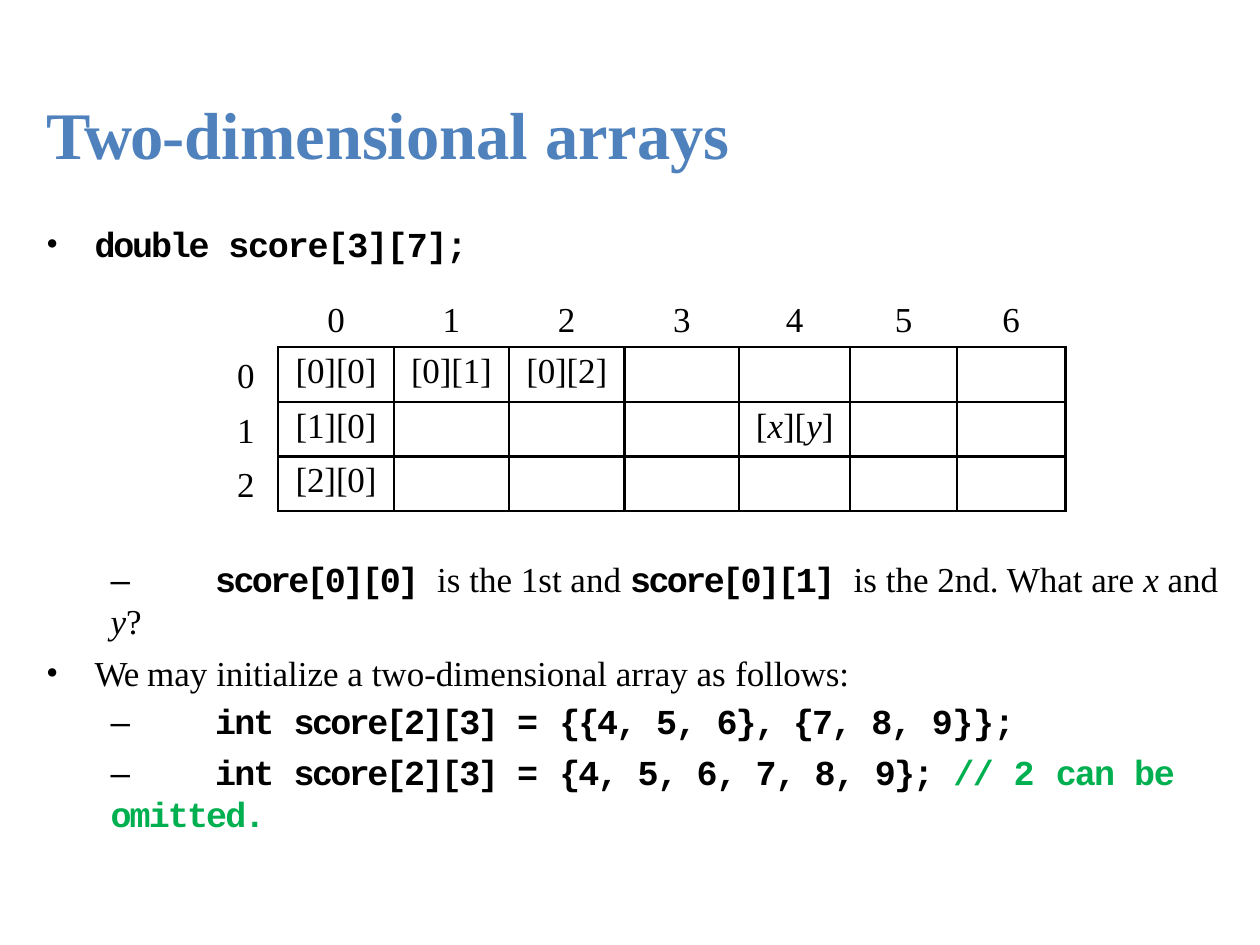
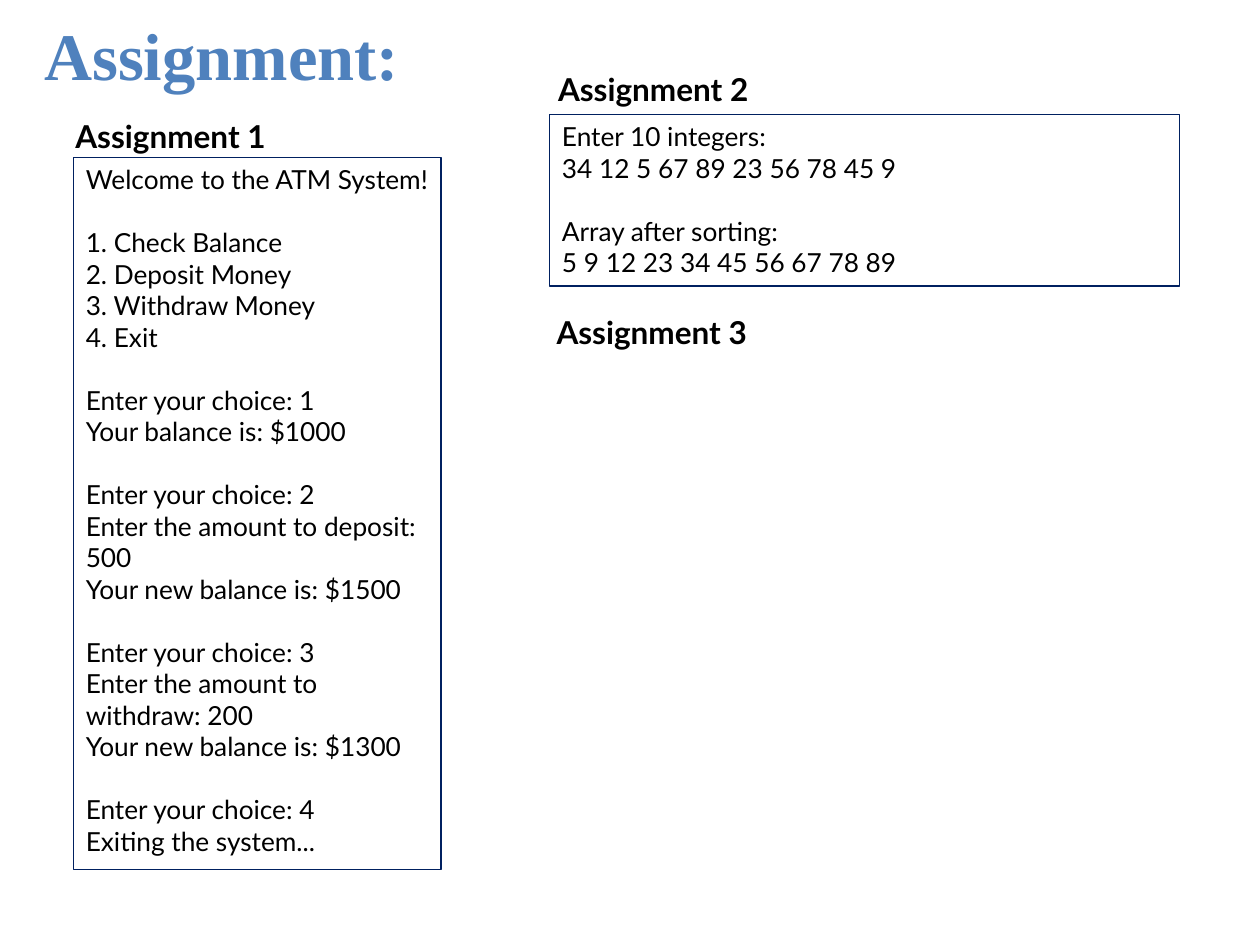
from pptx import Presentation
from pptx.dml.color import RGBColor
from pptx.enum.shapes import MSO_SHAPE
from pptx.enum.text import MSO_ANCHOR, PP_ALIGN
from pptx.oxml.xmlchemy import OxmlElement
from pptx.util import Cm, Pt

BLACK, TITLE_BLUE, FRAME_NAVY, COMMENT_GREEN = "000000", "4F81BD", "002060", "00B050"
SERIF, CODE, SANS, DASH_FONT = "Times New Roman", "Courier New", "Lato", "Arial"
TITLE_SIZE, BODY_SIZE, HEADING_SIZE, CONSOLE_SIZE = 38, 20, 18, 15
CONSOLE_GAP = 18

PLAIN = dict(font=SERIF)
ITALIC = dict(font=SERIF, italic=True)
BOLD_CODE = dict(font=CODE, bold=True)
COMMENT = dict(font=CODE, bold=True, color=COMMENT_GREEN)
DASH = ("–\t", dict(font=DASH_FONT), -0.5)

DECLARATION = [("double ", BOLD_CODE, -1.3), ("score[3][7];", BOLD_CODE, -0.7)]
# Each entry: bulleted or dashed, space before, runs
EXPLANATION = [
    (False, 0, [
        DASH, ("score[0][0] ", BOLD_CODE, -1.6), ("is the 1st and ", PLAIN, 0),
        ("score[0][1] ", BOLD_CODE, -1.5), ("is the 2nd. What are ", PLAIN, 0),
        ("x ", ITALIC, 0), ("and ", PLAIN, 0), ("y", ITALIC, -0.2), ("?", PLAIN, -0.2)]),
    (True, 6.1, [
        ("We ", PLAIN, -0.6), ("may initialize a two-dimensional array as ", PLAIN, 0),
        ("follows:", PLAIN, -0.1)]),
    (False, 3.1, [
        DASH, ("int ", BOLD_CODE, -1.1), ("score[2][3] ", BOLD_CODE, -1.5),
        ("= ", BOLD_CODE, 0), ("{{4, ", BOLD_CODE, -1.2), ("5, ", BOLD_CODE, -0.8),
        ("6}, {7, ", BOLD_CODE, -1.1), ("8, ", BOLD_CODE, -0.8), ("9}};", BOLD_CODE, -0.2)]),
    (False, 5.2, [
        DASH, ("int ", BOLD_CODE, -1.1), ("score[2][3] ", BOLD_CODE, -1.5),
        ("= ", BOLD_CODE, 0), ("{4, ", BOLD_CODE, -1.1), ("5, 6, 7, 8, ", BOLD_CODE, -0.8),
        ("9}; ", BOLD_CODE, -1.1), ("// ", COMMENT, -0.8), ("2 ", COMMENT, 0),
        ("can ", COMMENT, -1.1), ("be ", COMMENT, -0.8), ("omitted.", COMMENT, -1.1)]),
]

COLUMN_WIDTHS = [2.33, 2.32, 2.33, 2.31, 2.24, 2.15, 2.19]
ROW_COUNT, ROW_HEIGHT = 3, 1.1
THIN_EDGES = {4, 6}  # column boundaries drawn with a lighter line
ELEMENTS = {
    (0, 0): [("[0][0]", PLAIN)], (0, 1): [("[0][1]", PLAIN)], (0, 2): [("[0][2]", PLAIN)],
    (1, 0): [("[1][0]", PLAIN)], (2, 0): [("[2][0]", PLAIN)],
    (1, 4): [("[", PLAIN), ("x", ITALIC), ("][", PLAIN), ("y", ITALIC), ("]", PLAIN)],
}

# Console output as groups of lines, set apart by a gap
ATM_SESSION = [
    ["Welcome to the ATM System!"],
    ["1. Check Balance", "2. Deposit Money", "3. Withdraw Money", "4. Exit"],
    ["Enter your choice: 1", "Your balance is: $1000"],
    ["Enter your choice: 2", "Enter the amount to deposit: 500",
     "Your new balance is: $1500"],
    ["Enter your choice: 3", "Enter the amount to withdraw: 200",
     "Your new balance is: $1300"],
    ["Enter your choice: 4", "Exiting the system..."],
]
SORTING_SESSION = [
    ["Enter 10 integers:", "34 12 5 67 89 23 56 78 45 9"],
    ["Array after sorting:", "5 9 12 23 34 45 56 67 78 89"],
]


def rgb(hex_color):
    return RGBColor.from_string(hex_color)


def add_run(paragraph, text, size, font=SERIF, color=BLACK, bold=False, italic=False,
            tracking=0):
    run = paragraph.add_run()
    run.text = text
    run.font.name, run.font.size = font, Pt(size)
    run.font.bold, run.font.italic = bold, italic
    run.font.color.rgb = rgb(color)
    if tracking:
        run.font._element.set("spc", str(round(tracking * 100)))


def next_paragraph(frame, space_before=0):
    """Return the empty first paragraph, or a new one after the others."""
    first = frame.paragraphs[0]
    paragraph = frame.add_paragraph() if first.runs else first
    paragraph.space_before = Pt(space_before)
    paragraph.alignment = PP_ALIGN.LEFT
    return paragraph


def clear_margins(frame):
    frame.margin_left = frame.margin_right = frame.margin_top = frame.margin_bottom = 0


def add_text_frame(slide, box, margins=False):
    frame = slide.shapes.add_textbox(*map(Cm, box)).text_frame
    frame.word_wrap = True
    if not margins:
        clear_margins(frame)
    return frame


def append_element(parent, tag, **attributes):
    element = OxmlElement(tag)
    for name, value in attributes.items():
        element.set(name, str(value))
    parent.append(element)
    return element


def set_bullet(paragraph, left):
    properties = paragraph._p.get_or_add_pPr()
    properties.set("marL", str(Cm(left)))
    properties.set("indent", str(-Cm(left)))
    append_element(properties, "a:buFont", typeface=SERIF)
    append_element(properties, "a:buChar", char="•")


def set_dash_tab(paragraph, left, tab):
    """Indent the paragraph; an explicit first-line indent would reset its tab stop."""
    properties = paragraph._p.get_or_add_pPr()
    properties.set("marL", str(Cm(left)))
    append_element(append_element(properties, "a:tabLst"), "a:tab", pos=int(Cm(tab)), algn="l")


def add_point(frame, bulleted, space_before, runs):
    paragraph = next_paragraph(frame, space_before)
    if bulleted:
        set_bullet(paragraph, 0.98)
    else:
        set_dash_tab(paragraph, 1.3, 2.11)
    for text, style, tracking in runs:
        add_run(paragraph, text, BODY_SIZE, tracking=tracking, **style)


def add_titled_slide(deck, title, box):
    """Add a title-only slide; title is a list of (text, tracking)."""
    slide = deck.slides.add_slide(deck.slide_layouts[5])
    heading = slide.shapes.title
    heading.left, heading.top, heading.width, heading.height = map(Cm, box)
    frame = heading.text_frame
    frame.word_wrap = True
    frame.vertical_anchor = MSO_ANCHOR.TOP
    clear_margins(frame)
    paragraph = next_paragraph(frame)
    for text, tracking in title:
        add_run(paragraph, text, TITLE_SIZE, color=TITLE_BLUE, bold=True, tracking=tracking)
    return slide


def set_borders(cell, widths):
    """Draw the left, right, top and bottom border, in that order."""
    properties = cell._tc.get_or_add_tcPr()
    for index, (side, width) in enumerate(zip("LRTB", widths)):
        line = OxmlElement(f"a:ln{side}")
        line.set("w", str(int(Pt(width))))
        append_element(append_element(line, "a:solidFill"), "a:srgbClr", val=BLACK)
        properties.insert(index, line)


def add_array_grid(slide, left, top):
    """Draw the array as a table with its column and row indices outside."""
    width, height = sum(COLUMN_WIDTHS), ROW_HEIGHT * ROW_COUNT
    table = slide.shapes.add_table(ROW_COUNT, len(COLUMN_WIDTHS),
                                   *map(Cm, (left, top, width, height))).table
    table.first_row = table.horz_banding = False
    for row in table.rows:
        row.height = Cm(ROW_HEIGHT)

    for column, column_width in enumerate(COLUMN_WIDTHS):
        table.columns[column].width = Cm(column_width)
        index_left = left + sum(COLUMN_WIDTHS[:column])
        index = next_paragraph(add_text_frame(slide, (index_left, top - 1, column_width, 0.9)))
        index.alignment = PP_ALIGN.CENTER
        add_run(index, str(column), BODY_SIZE)
        side_widths = [1 if edge in THIN_EDGES else 1.5 for edge in (column, column + 1)]
        for row in range(ROW_COUNT):
            cell = table.cell(row, column)
            cell.fill.background()
            set_borders(cell, side_widths + [1.5, 1.5])
            if (row, column) in ELEMENTS:
                cell.margin_left = cell.margin_right = cell.margin_bottom = 0
                cell.margin_top = Cm(0.1)
                element = cell.text_frame.paragraphs[0]
                element.alignment = PP_ALIGN.CENTER
                for text, style in ELEMENTS[row, column]:
                    add_run(element, text, BODY_SIZE, tracking=-0.1, **style)

    row_indices = add_text_frame(slide, (left - 0.83, top + 0.13, 0.5, height))
    for row in range(ROW_COUNT):
        add_run(next_paragraph(row_indices, 7.2 if row else 0), str(row), BODY_SIZE)


def add_heading(slide, text, box):
    paragraph = next_paragraph(add_text_frame(slide, box, margins=True))
    add_run(paragraph, text, HEADING_SIZE, SANS, bold=True)


def add_console(slide, groups, box):
    console = slide.shapes.add_shape(MSO_SHAPE.RECTANGLE, *map(Cm, box))
    console.shadow.inherit = False
    console.fill.background()
    console.line.color.rgb = rgb(FRAME_NAVY)
    console.line.width = Pt(0.75)
    frame = console.text_frame
    frame.word_wrap = True
    frame.vertical_anchor = MSO_ANCHOR.TOP
    for group_number, group in enumerate(groups):
        for line_number, line in enumerate(group):
            starts_group = group_number > 0 and line_number == 0
            paragraph = next_paragraph(frame, CONSOLE_GAP if starts_group else 0)
            add_run(paragraph, line, CONSOLE_SIZE, SANS)


def build_arrays_slide(deck):
    title = [("Two-", -0.9), ("dimensional ", 0), ("arrays", -0.1)]
    slide = add_titled_slide(deck, title, (0.94, 1.88, 13.94, 1.65))
    add_point(add_text_frame(slide, (0.93, 4.49, 13.94, 0.8)), True, 0, DECLARATION)
    add_array_grid(slide, 5.61, 7)
    explanation = add_text_frame(slide, (0.93, 11.23, 23.67, 5.6))
    for point in EXPLANATION:
        add_point(explanation, *point)


def build_assignment_slide(deck):
    slide = add_titled_slide(deck, [("Assignment:", 0)], (0.89, 0.28, 22.58, 1.65))
    add_console(slide, ATM_SESSION, (1.48, 3.17, 7.41, 14.36))
    add_console(slide, SORTING_SESSION, (11.08, 2.31, 12.7, 3.46))
    add_heading(slide, "Assignment 1", (1.27, 2.24, 7.19, 1.03))
    add_heading(slide, "Assignment 2", (11, 1.28, 7.19, 1.03))
    add_heading(slide, "Assignment 3", (10.97, 6.18, 12.7, 1.03))


def main():
    deck = Presentation()
    deck.slide_width, deck.slide_height = Cm(25.4), Cm(19.05)
    build_arrays_slide(deck)
    build_assignment_slide(deck)
    deck.save("out.pptx")


if __name__ == "__main__":
    main()
